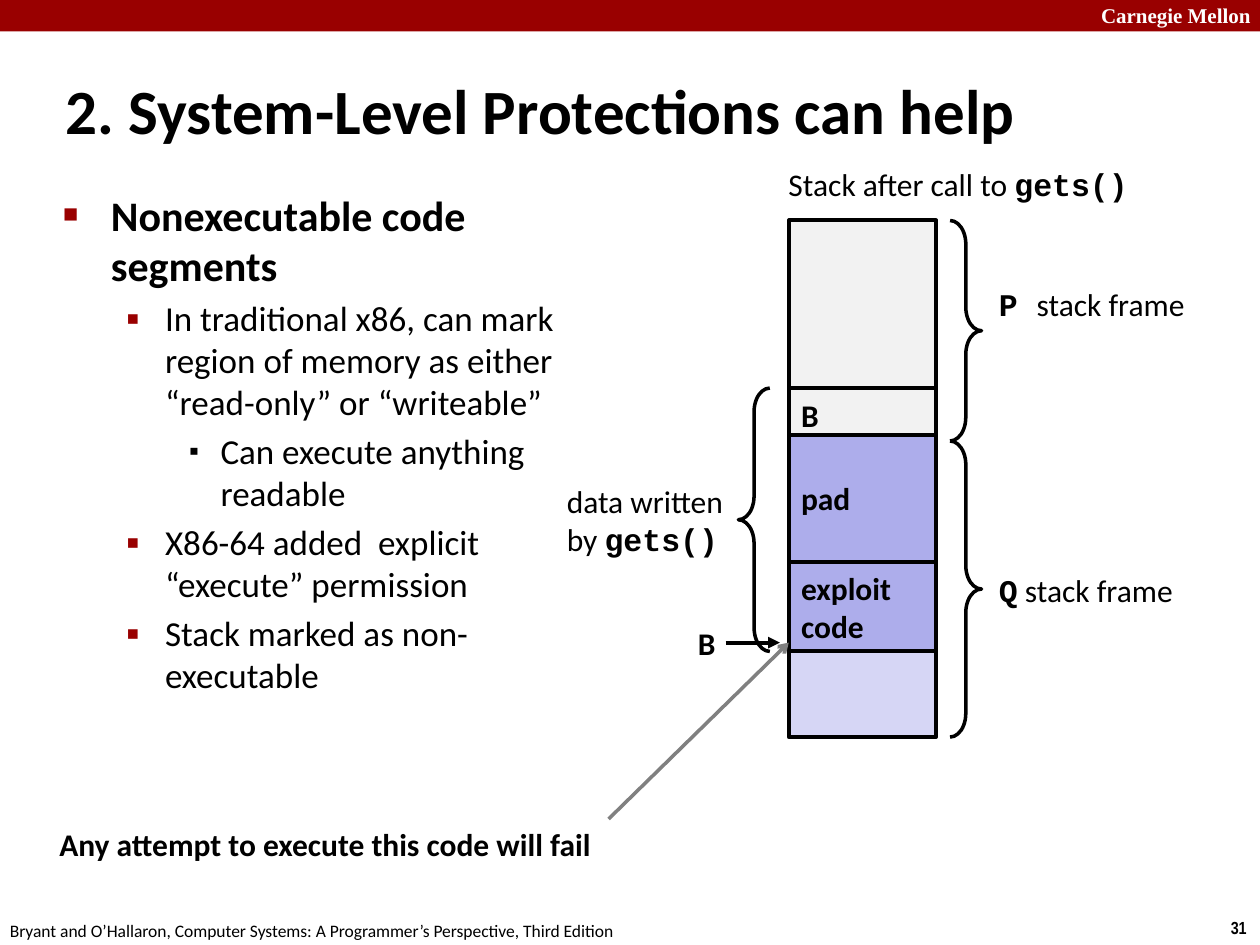
from dataclasses import dataclass

import pptx
import pptx.dml.color
import pptx.enum.dml
import pptx.enum.shapes
import pptx.enum.text
import pptx.util
from lxml import etree

Align = pptx.enum.text.PP_ALIGN
Anchor = pptx.enum.text.MSO_ANCHOR
Shape = pptx.enum.shapes.MSO_SHAPE
CELL = 0.1  # inches; the page is a grid of 100 columns by 75 rows


@dataclass(frozen=True)
class Theme:
    red: str = "990000"
    black: str = "000000"
    white: str = "FFFFFF"
    gray: str = "808080"
    caller: str = "F2F2F2"
    written: str = "ADADEB"
    callee: str = "D6D6F5"
    sans: str = "Calibri"
    mono: str = "Courier New"
    serif: str = "Times New Roman"
    narrow: str = "Arial Narrow"
    title: int = 36
    heading: int = 24
    body: int = 20
    label: int = 18
    banner: int = 12
    footer: int = 10
    border: float = 2.25
    thin: float = 2


@dataclass(frozen=True)
class Level:
    bullet: str
    percent: int
    margin: float
    hanging: float
    size: int
    color: str
    bold: bool = False


def cells(*counts):
    return [pptx.util.Inches(count * CELL) for count in counts]


def rgb(color):
    return pptx.dml.color.RGBColor.from_string(color)


def add_element(parent, tag, **attributes):
    return etree.SubElement(parent, pptx.oxml.ns.qn(tag), attributes)


class SlideBuilder:
    def __init__(self, theme):
        self.theme = theme
        self.deck = pptx.Presentation()
        self.deck.slide_width, self.deck.slide_height = cells(100, 75)
        self.page = self.deck.slides.add_slide(self.deck.slide_layouts[1])

    def style(self, font, size, color=None, bold=False, name=None):
        font.name = name or self.theme.sans
        font.size = pptx.util.Pt(size)
        font.bold = bold
        font.color.rgb = rgb(color or self.theme.black)

    def fill_text(self, box, lines, size=None, align=Align.LEFT, anchor=Anchor.TOP, **font):
        """Fill a box; a line is a string or a list of (text, is_code) spans."""
        frame = box.text_frame
        frame.word_wrap = True
        frame.vertical_anchor = anchor
        for index, line in enumerate(lines):
            para = frame.paragraphs[0] if index == 0 else frame.add_paragraph()
            para.alignment = align
            self.style(para.font, size or self.theme.label, **font)
            for text, is_code in [(line, False)] if isinstance(line, str) else line:
                span = para.add_run()
                span.text = text
                if is_code:
                    span.font.name = self.theme.mono
                    span.font.bold = True

    def place(self, box, at):
        box.left, box.top, box.width, box.height = cells(*at)

    def title(self, at, text):
        box = self.page.shapes.title
        self.place(box, at)
        box.text_frame.auto_size = pptx.enum.text.MSO_AUTO_SIZE.NONE
        self.fill_text(box, [text], self.theme.title, anchor=Anchor.MIDDLE, bold=True)

    def bullets(self, at, levels, items):
        box = self.page.placeholders[1]
        self.place(box, at)
        frame = box.text_frame
        frame.auto_size = pptx.enum.text.MSO_AUTO_SIZE.NONE
        for index, (depth, text) in enumerate(items):
            level = levels[depth]
            para = frame.paragraphs[0] if index == 0 else frame.add_paragraph()
            para.text = text
            para.level = depth
            para.space_before = pptx.util.Pt(level.size * 0.2 if index else 0)
            margin, hanging = cells(level.margin, level.hanging)
            properties = para._p.get_or_add_pPr()
            properties.set("marL", str(margin))
            properties.set("indent", str(-hanging))
            add_element(add_element(properties, "a:buClr"), "a:srgbClr", val=level.color)
            add_element(properties, "a:buSzPct", val=str(level.percent * 1000))
            add_element(properties, "a:buChar", char=level.bullet)
            self.style(para.font, level.size, bold=level.bold)

    def text(self, at, *lines, **options):
        self.fill_text(self.page.shapes.add_textbox(*cells(*at)), lines, **options)

    def block(self, at, fill, *lines, border=True):
        box = self.page.shapes.add_shape(Shape.RECTANGLE, *cells(*at))
        box.shadow.inherit = False
        box.fill.solid()
        box.fill.fore_color.rgb = rgb(fill)
        if border:
            box.line.color.rgb = rgb(self.theme.black)
            box.line.width = pptx.util.Pt(self.theme.border)
        else:
            box.line.fill.background()
        self.fill_text(box, lines, anchor=Anchor.MIDDLE, bold=True)

    def brace(self, kind, left, top, bottom):
        box = self.page.shapes.add_shape(kind, *cells(left, top, 2.5, bottom - top))
        box.shadow.inherit = False
        box.fill.background()
        box.line.color.rgb = rgb(self.theme.black)
        box.line.width = pptx.util.Pt(self.theme.thin)
        box.adjustments[0] = 0.75
        box.adjustments[1] = 0.5

    def arrow(self, start, end, color, width, head):
        straight = pptx.enum.shapes.MSO_CONNECTOR.STRAIGHT
        line = self.page.shapes.add_connector(straight, *cells(*start, *end))
        line.line.color.rgb = rgb(color)
        line.line.width = pptx.util.Pt(width)
        add_element(line.line._get_or_add_ln(), "a:tailEnd", type=head)
        add_element(line._element.spPr, "a:effectLst")


def draw_frame(slide, theme):
    slide.block((0, 0, 100, 2.5), theme.red, border=False)
    slide.text((86.4, -0.3, 14.3, 3), "Carnegie Mellon", size=theme.banner,
               color=theme.white, bold=True, name=theme.serif)
    slide.text((96.7, 72.3, 3.4, 2.7), "31", size=theme.footer, bold=True, name=theme.narrow)
    slide.text((-0.2, 72.5, 50.8, 2.7),
               "Bryant and O’Hallaron, Computer Systems: A Programmer’s Perspective, Third Edition",
               size=theme.footer)


def draw_points(slide, theme):
    slide.title((4.2, 5.8, 88.3, 5.8), "2. System-Level Protections can help")
    levels = [
        Level("■", 60, 3.8, 3.8, theme.heading, theme.red, bold=True),
        Level("▪", 110, 8.1, 3.1, theme.body, theme.red),
        Level("▪", 80, 12.5, 2.5, theme.body, theme.black),
    ]
    slide.bullets((4, 14.5, 44.3, 57.1), levels, [
        (0, "Nonexecutable code segments"),
        (1, "In traditional x86, can mark region of memory as either “read-only” or “writeable”"),
        (2, "Can execute anything readable"),
        (1, "X86-64 added  explicit “execute” permission"),
        (1, "Stack marked as non-executable"),
    ])


def draw_stack(slide, theme):
    left, width = 62.6, 11.7
    top, saved, pad, exploit, code_end, bottom = 17.5, 30.8, 34.5, 44.6, 51.7, 58.5
    frame_split = 35
    for start, end, fill, lines in [
        (top, saved, theme.caller, []),
        (saved, frame_split, theme.caller, ["B"]),
        (code_end, bottom, theme.callee, []),
        (exploit, code_end, theme.written, ["exploit", "code"]),
        (pad, exploit, theme.written, ["pad"]),
    ]:
        slide.block((left, start, width, end - start), fill, *lines)

    slide.brace(Shape.RIGHT_BRACE, 75.4, top, frame_split)
    slide.brace(Shape.RIGHT_BRACE, 75.4, frame_split, bottom)
    slide.brace(Shape.LEFT_BRACE, 58.6, saved, code_end)

    slide.text((61.6, 12.6, 30, 4), [("Stack after call to ", False), ("gets()", True)])
    slide.text((78.3, 22.1, 18, 4), [("P ", True), ("stack frame", False)], anchor=Anchor.MIDDLE)
    slide.text((78.3, 44.8, 18, 4), [("Q", True), (" stack frame", False)], anchor=Anchor.MIDDLE)
    slide.text((44, 37.7, 15, 7.1), "data written", [("by ", False), ("gets()", True)],
               anchor=Anchor.MIDDLE)
    slide.text((54.4, 49, 4, 4), "B", anchor=Anchor.MIDDLE, bold=True)
    slide.arrow((57.6, 51), (61.9, 51), theme.black, theme.border, "triangle")
    slide.arrow((48.3, 65), (left, 51), theme.gray, theme.thin, "arrow")
    slide.text((2.9, 65, 45, 4), "Any attempt to execute this code will fail",
               align=Align.RIGHT, bold=True)


def main():
    theme = Theme()
    slide = SlideBuilder(theme)
    draw_frame(slide, theme)
    draw_points(slide, theme)
    draw_stack(slide, theme)
    slide.deck.save("out.pptx")


if __name__ == "__main__":
    main()
